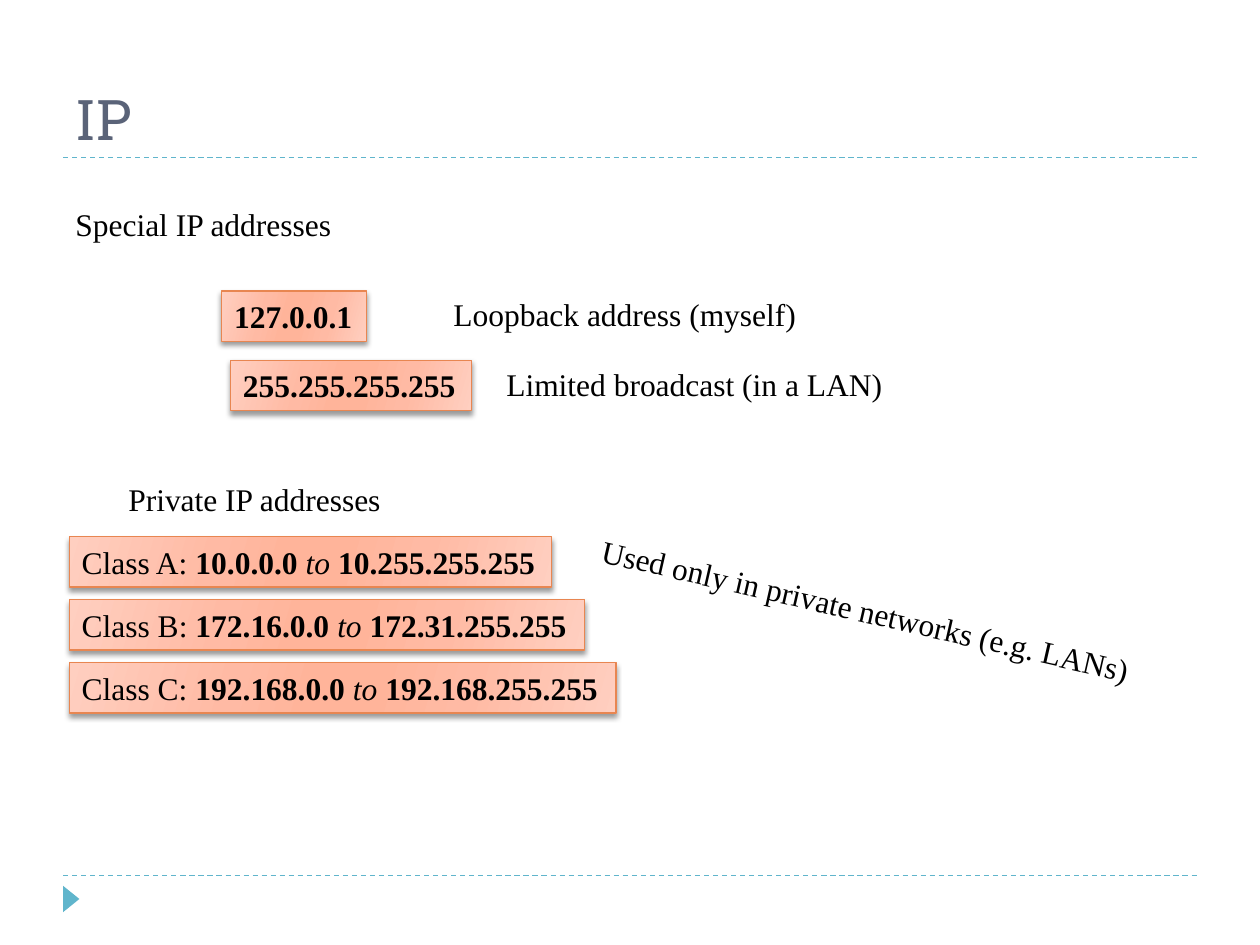
from lxml import etree
from pptx import Presentation
from pptx.dml.color import RGBColor
from pptx.enum.dml import MSO_LINE
from pptx.enum.shapes import MSO_CONNECTOR, MSO_SHAPE
from pptx.enum.text import MSO_ANCHOR, MSO_AUTO_SIZE, PP_ALIGN
from pptx.oxml.ns import qn
from pptx.util import Inches, Pt

RECTANGLE, TRIANGLE = MSO_SHAPE.RECTANGLE, MSO_SHAPE.ISOSCELES_TRIANGLE
STRAIGHT, DASH = MSO_CONNECTOR.STRAIGHT, MSO_LINE.DASH
TOP, BOTTOM, LEFT = MSO_ANCHOR.TOP, MSO_ANCHOR.BOTTOM, PP_ALIGN.LEFT
GROW, FIXED = MSO_AUTO_SIZE.SHAPE_TO_FIT_TEXT, MSO_AUTO_SIZE.NONE

BLACK = RGBColor(0x00, 0x00, 0x00)
SLATE = RGBColor(0x5A, 0x63, 0x78)
TEAL = RGBColor(0x60, 0xB5, 0xCC)
ORANGE = RGBColor(0xE8, 0x86, 0x51)
PALE = RGBColor(0xFF, 0xCF, 0xC0)
SALMON = RGBColor(0xFF, 0xBA, 0xA4)
PEACH = RGBColor(0xFF, 0xB4, 0x9A)
SHEEN = [(0, PALE), (30, SALMON), (45, PEACH), (55, PEACH), (73, SALMON), (100, PALE)]

ROW_HEIGHT = 0.4


class SlideBuilder:
    title_font = "Roboto Slab"
    body_font = "Times New Roman"
    body_size = 18

    def __init__(self, slide):
        self.slide = slide
        self.shapes = slide.shapes

    def rule(self, y):
        line = self.shapes.add_connector(STRAIGHT, Inches(0.5), Inches(y), Inches(9.5), Inches(y))
        line.line.color.rgb = TEAL
        line.line.width = Pt(0.75)
        line.line.dash_style = DASH
        etree.SubElement(line._element.spPr, qn("a:effectLst"))

    def marker(self, x, y, w, h):
        sp = self.shapes.add_shape(TRIANGLE, Inches(x), Inches(y), Inches(w), Inches(h))
        sp.rotation = 90
        sp.shadow.inherit = False
        sp.fill.solid()
        sp.fill.fore_color.rgb = TEAL
        sp.line.fill.background()

    def title(self, text):
        sp = self.shapes.add_textbox(Inches(0.5), Inches(0.17), Inches(9.42), Inches(1.08))
        tf = sp.text_frame
        tf.word_wrap = True
        tf.auto_size = FIXED
        tf.vertical_anchor = BOTTOM
        p = tf.paragraphs[0]
        p.text = text
        self.set_font(p, self.title_font, 32, SLATE)

    def label(self, text, x, y, w, wrap=True, rotation=0):
        sp = self.shapes.add_textbox(Inches(x), Inches(y), Inches(w), Inches(ROW_HEIGHT))
        sp.rotation = rotation
        self.body_paragraph(sp, wrap).text = text

    def address_box(self, x, y, w, first, last=None, prefix=None):
        """Glossy box with one address, or with a named range of addresses."""
        sp = self.shapes.add_shape(RECTANGLE, Inches(x), Inches(y), Inches(w), Inches(ROW_HEIGHT))
        self.add_sheen(sp)
        sp.line.color.rgb = ORANGE
        sp.line.width = Pt(0.75)
        self.add_shadow(sp)
        p = self.body_paragraph(sp, wrap=False)
        if last is None:
            p.text = first
            p.font.bold = True
            return
        p.add_run().text = prefix
        for text, bold in ((first + " ", True), ("to ", False), (last, True)):
            r = p.add_run()
            r.text = text
            r.font.bold = bold
            r.font.italic = not bold

    def body_paragraph(self, sp, wrap):
        """Style the shape's text frame and return its first paragraph."""
        tf = sp.text_frame
        tf.word_wrap = wrap
        tf.auto_size = GROW
        tf.vertical_anchor = TOP
        p = tf.paragraphs[0]
        p.alignment = LEFT
        self.set_font(p, self.body_font, self.body_size, BLACK)
        return p

    @staticmethod
    def set_font(p, name, size, color):
        p.font.name = name
        p.font.size = Pt(size)
        p.font.color.rgb = color

    @staticmethod
    def add_sheen(sp):
        sp.fill.gradient()
        sp.fill.gradient_angle = 344
        stops = sp._element.spPr.find(qn("a:gradFill")).find(qn("a:gsLst"))
        for stop in list(stops):
            stops.remove(stop)
        for percent, color in SHEEN:
            stop = etree.SubElement(stops, qn("a:gs"), pos=str(percent * 1000))
            etree.SubElement(stop, qn("a:srgbClr"), val=str(color))

    @staticmethod
    def add_shadow(sp):
        sp.shadow.inherit = False
        effects = sp._element.spPr.find(qn("a:effectLst"))
        shadow = etree.SubElement(effects, qn("a:outerShdw"), blurRad=str(Pt(3)), dist=str(Pt(2)),
                                  dir=str(90 * 60000), rotWithShape="0")
        color = etree.SubElement(shadow, qn("a:srgbClr"), val=str(BLACK))
        etree.SubElement(color, qn("a:alpha"), val="40000")


def main():
    prs = Presentation()
    prs.slide_width, prs.slide_height = Inches(10), Inches(7.5)
    page = SlideBuilder(prs.slides.add_slide(prs.slide_layouts[6]))

    page.rule(6.95)
    page.rule(1.25)
    page.marker(0.46, 7.07, 0.21, 0.13)
    page.title("IP")

    page.label("Special IP addresses", 0.5, 1.58, 2.42)
    page.address_box(1.76, 2.31, 1.15, "127.0.0.1")
    page.label("Loopback address (myself)", 3.5, 2.29, 4.49)
    page.address_box(1.83, 2.86, 1.91, "255.255.255.255")
    page.label("Limited broadcast (in a LAN)", 3.92, 2.85, 4.49)

    page.label("Private IP addresses", 0.92, 3.76, 2.23, wrap=False)
    private_ranges = [
        ("A", "10.0.0.0", "10.255.255.255", 3.83),
        ("B", "172.16.0.0", "172.31.255.255", 4.09),
        ("C", "192.168.0.0", "192.168.255.255", 4.34),
    ]
    for i, (name, first, last, width) in enumerate(private_ranges):
        page.address_box(0.55, 4.26 + 0.5 * i, width, first, last, f"Class {name}: ")
    page.label("Used only in private networks (e.g. LANs)", 4.63, 4.66, 4.64, rotation=12.9)

    prs.save("out.pptx")


if __name__ == "__main__":
    main()
